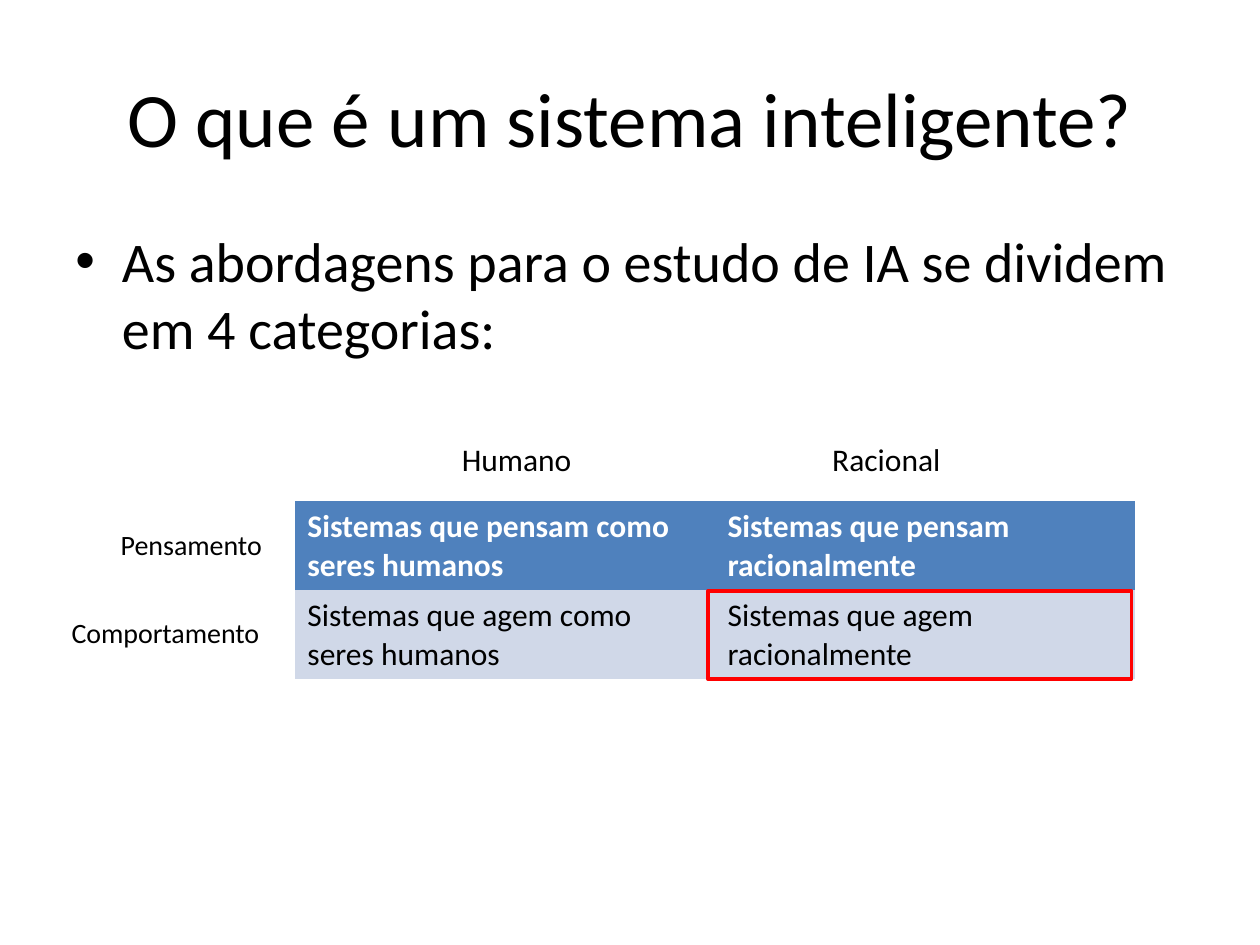
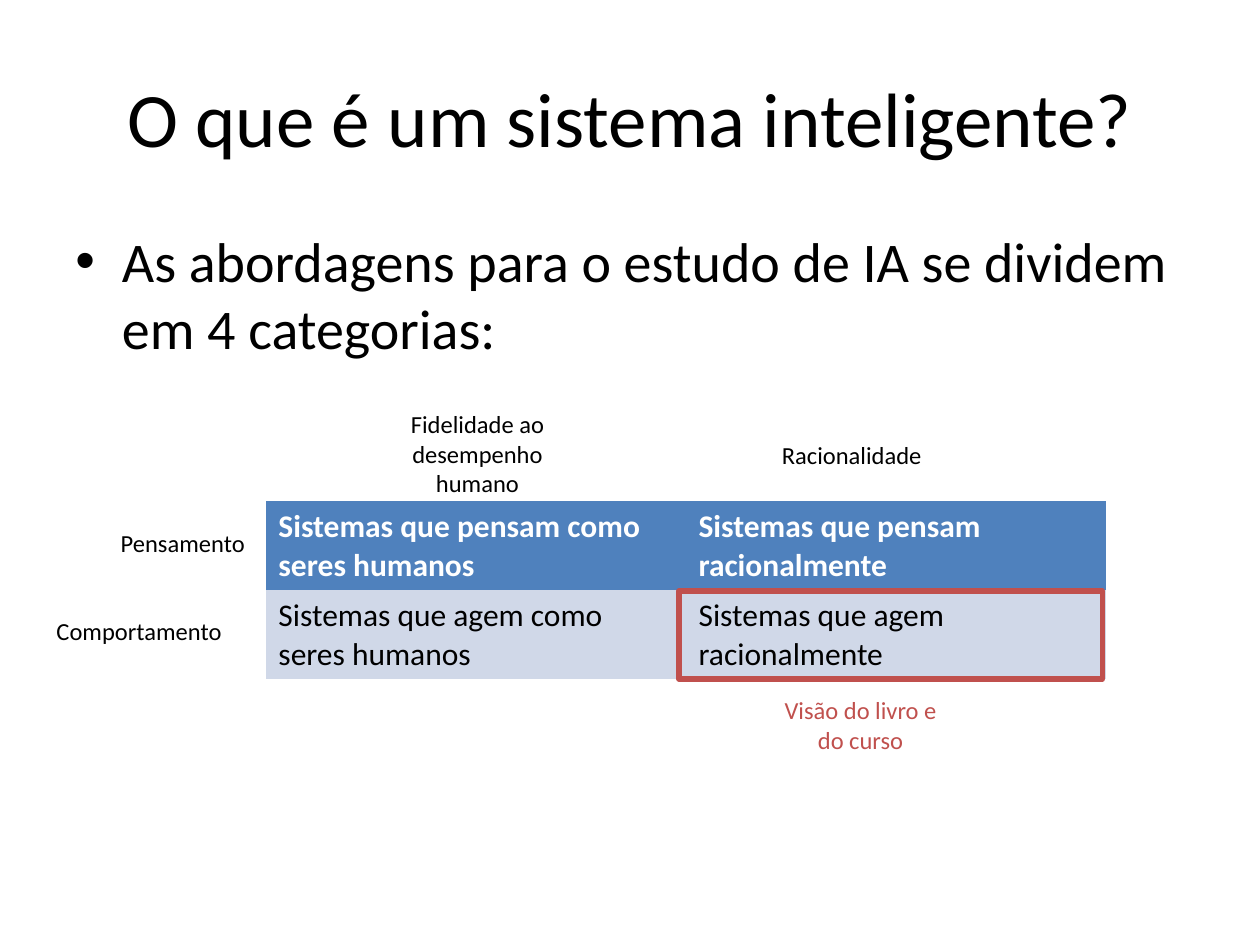
from dataclasses import dataclass

from lxml import etree
from pptx import Presentation
from pptx.dml.color import RGBColor as RGB
from pptx.enum.shapes import MSO_SHAPE as Shape
from pptx.enum.text import MSO_ANCHOR as Anchor, PP_ALIGN as Align
from pptx.oxml.ns import qn
from pptx.util import Inches, Pt

PLAIN = "{2D5ABB26-0587-4C30-8999-92F81FD0307C}"
TITLE = "O que é um sistema inteligente?"
INTRO = "As abordagens para o estudo de IA se dividem em 4 categorias:"
GRID = [
    ["Sistemas que pensam como seres humanos", "Sistemas que pensam racionalmente"],
    ["Sistemas que agem como seres humanos", "Sistemas que agem racionalmente"],
]


@dataclass(frozen=True)
class Theme:
    font: str = "Calibri"
    ink: RGB = RGB(0, 0, 0)
    white: RGB = RGB(0xFF, 0xFF, 0xFF)
    head: RGB = RGB(0x4F, 0x81, 0xBD)
    band: RGB = RGB(0xD0, 0xD8, 0xE8)
    red: RGB = RGB(0xFF, 0, 0)
    brick: RGB = RGB(0xC0, 0x50, 0x4D)
    title: int = 44
    body: int = 32
    cell: int = 18
    label: int = 16
    small: int = 14


class Deck:
    def __init__(self, theme):
        self.theme = theme
        self.prs = Presentation()
        self.prs.slide_width, self.prs.slide_height = Inches(10), Inches(7.5)
        self.slide = None

    def style(self, para, size, color=None, bold=False, align=Align.LEFT):
        para.alignment = align
        font = para.font
        font.name, font.size, font.bold = self.theme.font, Pt(size), bold
        font.color.rgb = color or self.theme.ink

    def start(self, title):
        """Add a slide with its title."""
        self.slide = self.prs.slides.add_slide(self.prs.slide_layouts[5])
        shape = self.slide.shapes.title
        shape.left, shape.top = Inches(0.5), Inches(0.14)
        shape.width, shape.height = Inches(9), Inches(1.57)
        frame = shape.text_frame
        frame.text = title
        frame.vertical_anchor = Anchor.MIDDLE
        self.style(frame.paragraphs[0], self.theme.title, align=Align.CENTER)

    def text(self, words, box, size, color=None, align=Align.LEFT):
        frame = self.slide.shapes.add_textbox(*map(Inches, box)).text_frame
        frame.word_wrap = True
        frame.text = words
        para = frame.paragraphs[0]
        self.style(para, size, color, align=align)
        return para

    def bullet(self, words, box):
        para = self.text(words, box, self.theme.body)
        props = para._p.get_or_add_pPr()
        props.set("marL", str(Inches(0.37)))
        props.set("indent", str(Inches(-0.37)))
        font = etree.Element(qn("a:buFont"), typeface="Arial")
        mark = etree.Element(qn("a:buChar"), char="•")
        props.insert(0, font)
        props.insert(1, mark)

    def table(self, rows, box):
        """Draw a grid whose first row is the header."""
        theme = self.theme
        table = self.slide.shapes.add_table(
            len(rows), len(rows[0]), *map(Inches, box)).table
        table._tbl.tblPr.find(qn("a:tableStyleId")).text = PLAIN
        for r, row in enumerate(rows):
            fill, ink = (theme.band, theme.ink) if r else (theme.head, theme.white)
            for c, words in enumerate(row):
                cell = table.cell(r, c)
                cell.text = words
                cell.fill.solid()
                cell.fill.fore_color.rgb = fill
                self.style(cell.text_frame.paragraphs[0], theme.cell, ink, r == 0)

    def frame(self, box, color, width):
        """Outline an area without filling it."""
        rect = self.slide.shapes.add_shape(Shape.RECTANGLE, *map(Inches, box))
        rect.shadow.inherit = False
        rect.fill.background()
        rect.line.color.rgb = color
        rect.line.width = Pt(width)

    def matrix(self, left, rows, cols, sizes, color, width):
        """Draw the four categories, their labels and the highlighted one."""
        self.start(TITLE)
        self.bullet(INTRO, (0.5, 1.75, 9, 4.95))
        self.table(GRID, (left, 3.98, 6.67, 1.41))
        for words, box in rows:
            self.text(words, box, sizes[0])
        for words, box in cols:
            self.text(words, box, sizes[1], align=Align.CENTER)
        self.frame((left + 3.28, 4.69, 3.36, 0.7), color, width)


def main():
    theme = Theme()
    deck = Deck(theme)
    deck.matrix(
        2.34,
        [("Pensamento", (0.86, 4.14, 1.48, 0.37)),
         ("Comportamento", (0.47, 4.84, 1.76, 0.37))],
        [("Humano", (3.36, 3.44, 1.48, 0.4)),
         ("Racional", (6.02, 3.44, 2.03, 0.4))],
        (theme.label, theme.cell), theme.red, 2)
    deck.matrix(
        2.11,
        [("Pensamento", (0.86, 4.14, 1.48, 0.34)),
         ("Comportamento", (0.35, 4.84, 1.76, 0.34))],
        [("Fidelidade ao desempenho humano", (3.05, 3.2, 1.48, 0.8)),
         ("Racionalidade", (6.02, 3.44, 1.48, 0.34))],
        (theme.small, theme.small), theme.brick, 3)
    deck.text("Visão do livro e do curso", (6.09, 5.47, 1.48, 0.57),
              theme.small, theme.brick, Align.CENTER)
    deck.prs.save("out.pptx")


if __name__ == "__main__":
    main()
